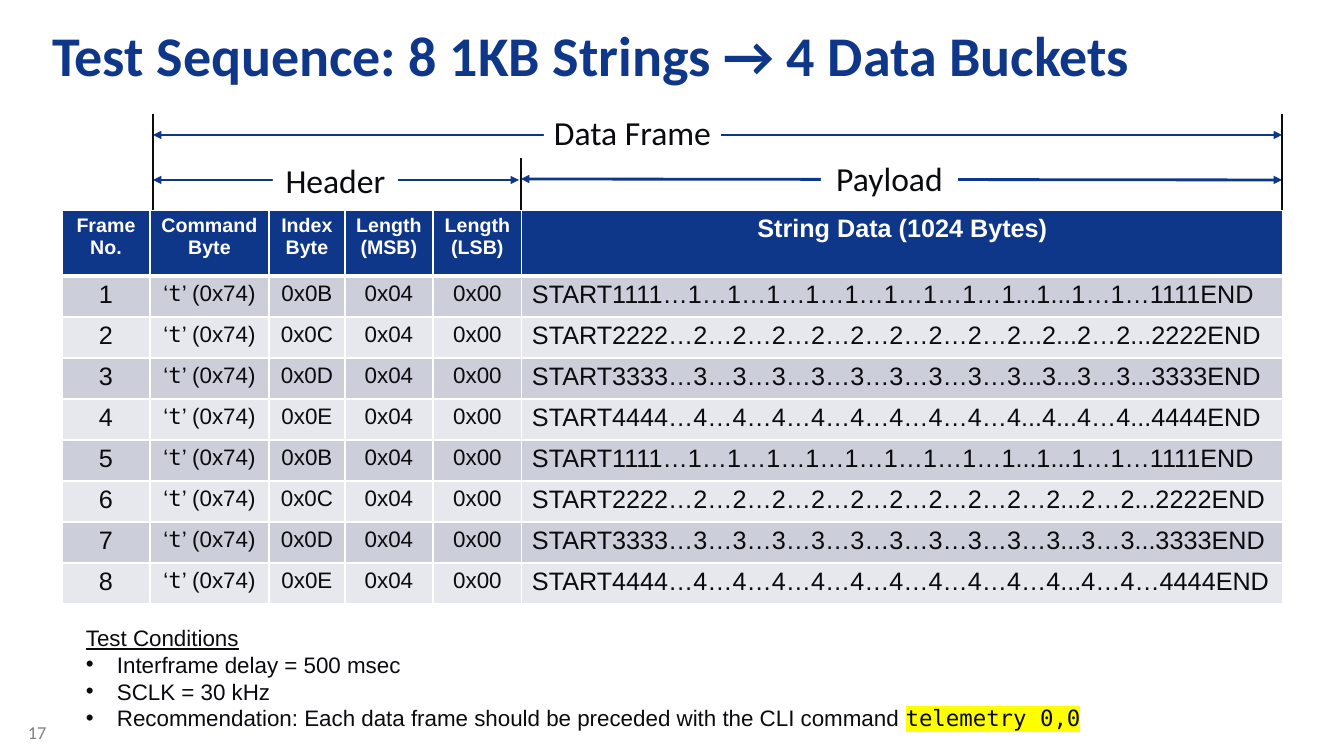
from lxml import etree
from pptx import Presentation
from pptx import util as u
from pptx.dml.color import RGBColor
from pptx.enum import shapes, text
from pptx.oxml import ns

COLORS = {
    "navy": "0E3689", "ink": "0A0B0F", "white": "FFFFFF", "gray": "808080",
    "odd": "CCCEDA", "even": "E7E8ED", "highlight": "FFFF00",
}
SANS, TITLE_FONT, MONO = "Arial", "Calibri", "DejaVu Sans Mono"
CENTER = text.PP_ALIGN.CENTER

TABLE_LEFT, TABLE_TOP = 62, 210
COLUMN_WIDTHS = [88, 119, 76, 88, 89, 761]
HEADER_HEIGHT, ROW_HEIGHT = 66, 41
HEADINGS = ["Frame No.", "Command\nByte", "Index\nByte", "Length\n(MSB)",
            "Length\n(LSB)", "String Data (1024 Bytes)"]
INDEX_BYTES = ["0x0B", "0x0C", "0x0D", "0x0E"]
STRINGS = [
    "START1111…1…1…1…1…1…1…1…1…1...1...1…1…1111END",
    "START2222…2…2…2…2…2…2…2…2…2...2...2…2...2222END",
    "START3333…3…3…3…3…3…3…3…3…3...3...3…3...3333END",
    "START4444…4…4…4…4…4…4…4…4…4...4...4…4...4444END",
    "START1111…1…1…1…1…1…1…1…1…1...1...1…1…1111END",
    "START2222…2…2…2…2…2…2…2…2…2…2...2…2...2222END",
    "START3333…3…3…3…3…3…3…3…3…3…3...3…3...3333END",
    "START4444…4…4…4…4…4…4…4…4…4…4...4…4…4444END",
]
CONDITIONS = ["Interframe delay = 500 msec", "SCLK = 30 kHz",
              "Recommendation: Each data frame should be preceded with the CLI command "]


def px(length):
    return u.Emu(round(length * 914400 / 100.8))


def rgb(name):
    return RGBColor.from_string(COLORS[name])


def add_xml(parent, tag, position=None, **attributes):
    element = etree.Element(ns.qn(tag), **attributes)
    parent.insert(len(parent) if position is None else position, element)
    return element


def format_run(run, size, color="ink", font=SANS, bold=False):
    run.font.size = u.Pt(size)
    run.font.name = font
    run.font.bold = bold
    run.font.color.rgb = rgb(color)


def format_frame(frame, size, color="ink", font=SANS, bold=False, align=None):
    for paragraph in frame.paragraphs:
        paragraph.alignment = align
        for run in paragraph.runs:
            format_run(run, size, color, font, bold)


def add_title(slide, wording):
    title = slide.shapes.title
    title.left, title.top, title.width, title.height = px(39), px(11), px(1257), px(86)
    frame = title.text_frame
    frame.text = wording
    frame.margin_left = frame.margin_right = px(13)
    frame.margin_top = frame.margin_bottom = px(7)
    frame.vertical_anchor = text.MSO_ANCHOR.MIDDLE
    format_frame(frame, 40, "navy", TITLE_FONT, True, text.PP_ALIGN.LEFT)


def add_line(slide, x1, y1, x2, y2, color="ink", arrows=False):
    line = slide.shapes.add_connector(
        shapes.MSO_CONNECTOR.STRAIGHT, px(x1), px(y1), px(x2), px(y2))
    line.line.color.rgb = rgb(color)
    line.line.width = u.Pt(2)
    if arrows:
        outline = line.line._get_or_add_ln()
        add_xml(outline, "a:headEnd", type="triangle")
        add_xml(outline, "a:tailEnd", type="triangle")
    add_xml(line._element.spPr, "a:effectLst")


def add_label(slide, wording, left, top, width):
    label = slide.shapes.add_shape(
        shapes.MSO_SHAPE.RECTANGLE, px(left), px(top), px(width), px(50))
    label.shadow.inherit = False
    label.fill.solid()
    label.fill.fore_color.rgb = rgb("white")
    label.line.fill.background()
    label.text_frame.text = wording
    label.text_frame.word_wrap = False
    format_frame(label.text_frame, 24, font=TITLE_FONT, align=CENTER)


def add_text_box(slide, wording, left, top, width, height):
    box = slide.shapes.add_textbox(px(left), px(top), px(width), px(height))
    box.text_frame.word_wrap = True
    box.text_frame.text = wording
    return box.text_frame


def style_cell(cell, fill, bottom_width=1):
    cell.fill.solid()
    cell.fill.fore_color.rgb = rgb(fill)
    properties = cell._tc.get_or_add_tcPr()
    for position, side in enumerate("LRTB"):
        width = u.Pt(bottom_width if side == "B" else 1)
        border = add_xml(properties, f"a:ln{side}", position, w=str(width))
        add_xml(add_xml(border, "a:solidFill"), "a:srgbClr", val=COLORS["white"])


def add_command(cell):
    paragraph = cell.text_frame.paragraphs[0]
    paragraph.alignment = CENTER
    for wording, font in (("‘", SANS), ("t", MONO), ("’ (0x74)", SANS)):
        run = paragraph.add_run()
        run.text = wording
        format_run(run, 16, font=font)


def add_frame_table(slide):
    table = slide.shapes.add_table(
        len(STRINGS) + 1, len(HEADINGS), px(TABLE_LEFT), px(TABLE_TOP),
        px(sum(COLUMN_WIDTHS)), px(HEADER_HEIGHT + ROW_HEIGHT * len(STRINGS))).table
    table.horz_banding = False
    for column, width in zip(table.columns, COLUMN_WIDTHS):
        column.width = px(width)

    # Heading row
    table.rows[0].height = px(HEADER_HEIGHT)
    for column, heading in enumerate(HEADINGS):
        cell = table.cell(0, column)
        cell.text_frame.text = heading
        size = 18 if column == len(HEADINGS) - 1 else 14
        format_frame(cell.text_frame, size, "white", bold=True, align=CENTER)
        style_cell(cell, "navy", bottom_width=3)

    # One row for each data frame
    for number, string in enumerate(STRINGS, 1):
        table.rows[number].height = px(ROW_HEIGHT)
        index_byte = INDEX_BYTES[(number - 1) % len(INDEX_BYTES)]
        values = [str(number), None, index_byte, "0x04", "0x00", string]
        for column, value in enumerate(values):
            cell = table.cell(number, column)
            if value is None:
                add_command(cell)
            else:
                cell.text_frame.text = value
                size = 18 if column in (0, 5) else 16
                format_frame(cell.text_frame, size, align=None if column == 5 else CENTER)
            style_cell(cell, "odd" if number % 2 else "even")


def add_conditions(slide):
    frame = add_text_box(slide, "\n".join(["Test Conditions"] + CONDITIONS), 76, 619, 1047, 119)
    format_frame(frame, 16)
    heading, *bullets = frame.paragraphs
    heading.runs[0].font.underline = True
    for paragraph in bullets:
        properties = paragraph._p.get_or_add_pPr()
        properties.set("marL", str(px(31)))
        properties.set("indent", str(-px(31)))
        add_xml(properties, "a:buFont", typeface=SANS)
        add_xml(properties, "a:buChar", char="•")

    # Highlighted command
    command = bullets[-1].add_run()
    command.text = "telemetry 0,0"
    format_run(command, 16, font=MONO)
    properties = command._r.get_or_add_rPr()
    after_fill = properties.index(properties.find(ns.qn("a:solidFill"))) + 1
    highlight = add_xml(properties, "a:highlight", after_fill)
    add_xml(highlight, "a:srgbClr", val=COLORS["highlight"])


def main():
    presentation = Presentation()
    presentation.slide_width, presentation.slide_height = px(1344), px(756)
    slide = presentation.slides.add_slide(presentation.slide_layouts[5])

    add_title(slide, "Test Sequence: 8 1KB Strings → 4 Data Buckets")
    number = add_text_box(slide, "17", 18, 716, 59, 40)
    format_frame(number, 13, "gray", TITLE_FONT)

    # Table and the spans above it
    add_line(slide, 521, 179, 1282, 180, "navy", arrows=True)
    add_line(slide, 153, 180, 519, 180, "navy", arrows=True)
    add_frame_table(slide)
    for x, top in ((153, 114), (521, 158), (1282, 114)):
        add_line(slide, x, TABLE_TOP, x, top)
    add_line(slide, 153, 135, 1282, 135, "navy", arrows=True)
    add_label(slide, "Header", 273, 155, 125)
    add_label(slide, "Payload", 821, 153, 137)
    add_label(slide, "Data Frame", 544, 107, 177)

    add_conditions(slide)
    presentation.save("out.pptx")


if __name__ == "__main__":
    main()
